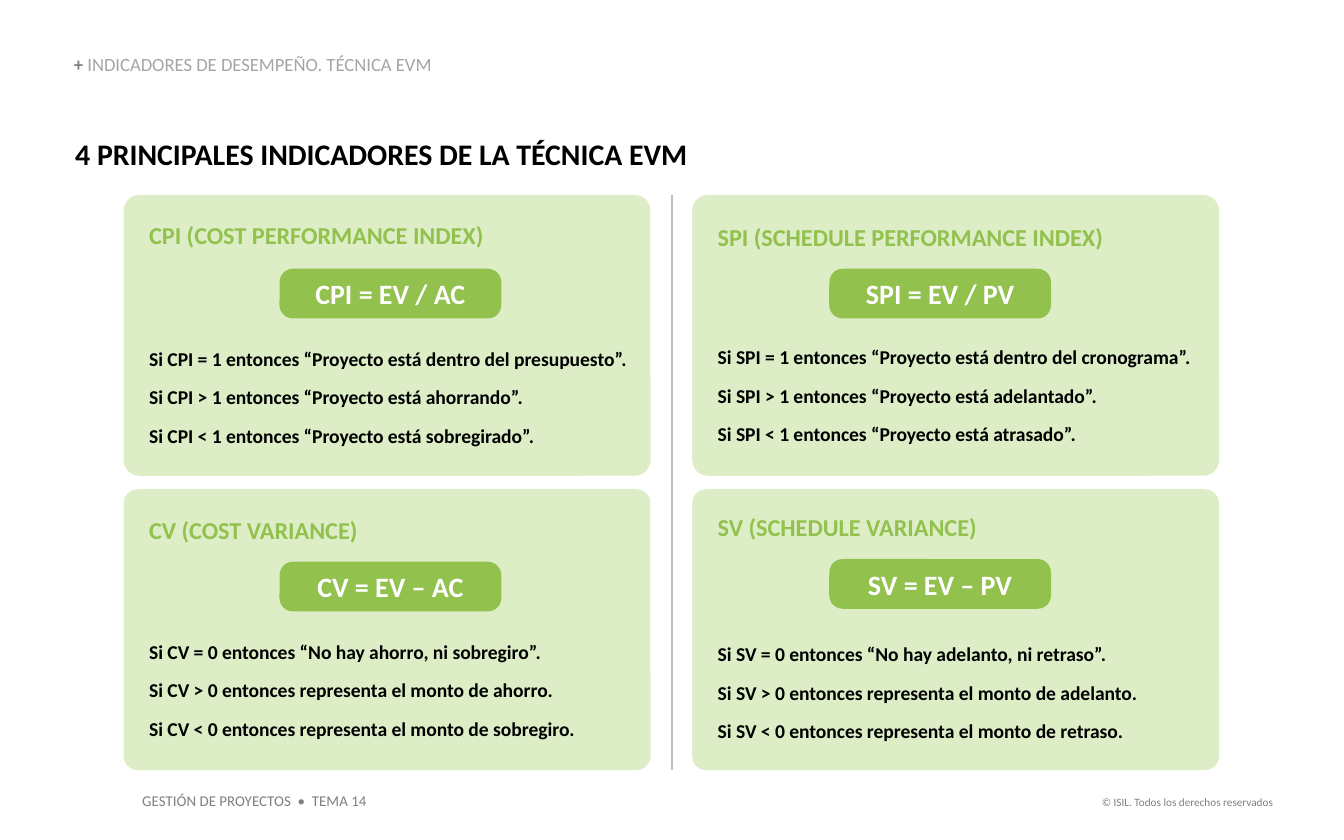
from dataclasses import dataclass

from lxml import etree
from pptx import Presentation
from pptx.dml.color import RGBColor
from pptx.enum.shapes import MSO_CONNECTOR, MSO_SHAPE
from pptx.enum.text import MSO_ANCHOR, MSO_AUTO_SIZE, PP_ALIGN
from pptx.oxml.ns import qn
from pptx.util import Inches, Pt

LEFT, CENTER, RIGHT = PP_ALIGN.LEFT, PP_ALIGN.CENTER, PP_ALIGN.RIGHT
TOP, MIDDLE, BOTTOM = MSO_ANCHOR.TOP, MSO_ANCHOR.MIDDLE, MSO_ANCHOR.BOTTOM
ROUNDED, STRAIGHT = MSO_SHAPE.ROUNDED_RECTANGLE, MSO_CONNECTOR.STRAIGHT


@dataclass(frozen=True)
class Theme:
    font: str = "Calibri"
    green: str = "92C14E"
    pale: str = "DDEEC7"
    black: str = "000000"
    white: str = "FFFFFF"
    gray: str = "7F7F7F"
    light_gray: str = "A5A5A5"
    rule: str = "BFBFBF"
    heading: float = 16
    formula: float = 15
    name: float = 13
    body: float = 10.5
    section: float = 10
    footer: float = 8
    rights: float = 6


THEME = Theme()


def write(shape, paragraphs, size, align=LEFT, anchor=TOP, margins=(0, 0), gap=0):
    """Fill a shape; each paragraph is a list of (text, colour, bold)."""
    frame = shape.text_frame
    frame.word_wrap = True
    frame.auto_size = MSO_AUTO_SIZE.NONE
    frame.vertical_anchor = anchor
    frame.margin_left = frame.margin_right = Inches(margins[0])
    frame.margin_top = frame.margin_bottom = Inches(margins[1])
    for index, spans in enumerate(paragraphs):
        para = frame.add_paragraph() if index else frame.paragraphs[0]
        para.alignment = align
        para.space_before = Pt(gap if index else 0)
        for text, color, bold in spans:
            span = para.add_run()
            span.text = text
            span.font.name = THEME.font
            span.font.size = Pt(size)
            span.font.bold = bold
            span.font.color.rgb = RGBColor.from_string(color)


def rounded(left, top, width, height, color, radius):
    box = slide.shapes.add_shape(
        ROUNDED, Inches(left), Inches(top), Inches(width), Inches(height))
    box.adjustments[0] = radius
    box.shadow.inherit = False
    box.fill.solid()
    box.fill.fore_color.rgb = RGBColor.from_string(color)
    box.line.fill.background()
    return box


deck = Presentation()
deck.slide_width, deck.slide_height = Inches(10), Inches(6.25)
slide = deck.slides.add_slide(deck.slide_layouts[5])

# Section title
title = slide.shapes.title
title.left, title.top = Inches(0.55), Inches(0.41)
title.width, title.height = Inches(3.9), Inches(0.15)
write(title, [[("+ ", THEME.gray, True),
               ("INDICADORES DE DESEMPEÑO. TÉCNICA EVM", THEME.light_gray, False)]],
      THEME.section, anchor=BOTTOM)
title.text_frame.paragraphs[0].line_spacing = 0.9

# Heading and footers: place, text, size, colour, bold, alignment, margins
labels = [
    ((0.56, 1.01, 6.69, 0.27), "4 PRINCIPALES INDICADORES DE LA TÉCNICA EVM",
     THEME.heading, THEME.black, True, LEFT, (0, 0)),
    ((0.96, 5.84, 1.87, 0.24), "GESTIÓN DE PROYECTOS  •  TEMA 14",
     THEME.footer, THEME.gray, False, LEFT, (0.1, 0.05)),
    ((7.91, 5.87, 1.66, 0.2), "© ISIL. Todos los derechos reservados",
     THEME.rights, THEME.gray, False, RIGHT, (0.1, 0.05)),
]
for place, text, size, color, bold, align, margins in labels:
    box = slide.shapes.add_textbox(*map(Inches, place))
    write(box, [[(text, color, bold)]], size, align, margins=margins)

# Grid of four panels
GRID_LEFT, GRID_TOP = 0.92, 1.45
PANEL_WIDTH, PANEL_HEIGHT = 3.92, 2.09
COLUMN_STEP, ROW_STEP = 4.23, 2.19
PADDING = 0.19
PILL_WIDTH, PILL_HEIGHT = 1.65, 0.37
PILL_OFFSETS = (1.16, 1.02)
PANEL_RADII = (0.056, 0.05)

# Column, row, offsets of name, pill and rules within the panel, then the wording
panels = [
    (0, 0, (0.19, 0.55, 1.13), "CPI (COST PERFORMANCE INDEX)", "CPI = EV / AC",
     ["Si CPI = 1 entonces “Proyecto está dentro del presupuesto”.",
      "Si CPI > 1 entonces “Proyecto está ahorrando”.",
      "Si CPI < 1 entonces “Proyecto está sobregirado”."]),
    (1, 0, (0.2, 0.55, 1.12), "SPI (SCHEDULE PERFORMANCE INDEX)", "SPI = EV / PV",
     ["Si SPI = 1 entonces “Proyecto está dentro del cronograma”.",
      "Si SPI > 1 entonces “Proyecto está adelantado”.",
      "Si SPI < 1 entonces “Proyecto está atrasado”."]),
    (0, 1, (0.19, 0.54, 1.12), "CV (COST VARIANCE)", "CV = EV – AC",
     ["Si CV = 0 entonces “No hay ahorro, ni sobregiro”.",
      "Si CV > 0 entonces representa el monto de ahorro.",
      "Si CV < 0 entonces representa el monto de sobregiro."]),
    (1, 1, (0.17, 0.52, 1.14), "SV (SCHEDULE VARIANCE)", "SV = EV – PV",
     ["Si SV = 0 entonces “No hay adelanto, ni retraso”.",
      "Si SV > 0 entonces representa el monto de adelanto.",
      "Si SV < 0 entonces representa el monto de retraso."]),
]
for column, row, (name_y, pill_y, rules_y), name, formula, rules in panels:
    left = GRID_LEFT + column * COLUMN_STEP
    top = GRID_TOP + row * ROW_STEP
    rounded(left, top, PANEL_WIDTH, PANEL_HEIGHT, THEME.pale, PANEL_RADII[row])

    name_box = slide.shapes.add_textbox(
        Inches(left + PADDING), Inches(top + name_y), Inches(3.47), Inches(0.22))
    write(name_box, [[(name, THEME.green, True)]], THEME.name)

    pill = rounded(left + PILL_OFFSETS[column], top + pill_y,
                   PILL_WIDTH, PILL_HEIGHT, THEME.green, 0.27)
    write(pill, [[(formula, THEME.white, True)]], THEME.formula, CENTER, MIDDLE)

    rules_box = slide.shapes.add_textbox(
        Inches(left + PADDING), Inches(top + rules_y), Inches(3.64), Inches(0.76))
    write(rules_box, [[(rule, THEME.black, True)] for rule in rules],
          THEME.body, gap=8)

# Divider between the columns
middle = deck.slide_width // 2
divider = slide.shapes.add_connector(
    STRAIGHT, middle, Inches(GRID_TOP),
    middle, Inches(GRID_TOP + ROW_STEP + PANEL_HEIGHT))
divider.line.color.rgb = RGBColor.from_string(THEME.rule)
divider.line.width = Pt(1)
etree.SubElement(divider.element.spPr, qn("a:effectLst"))

deck.save("out.pptx")
